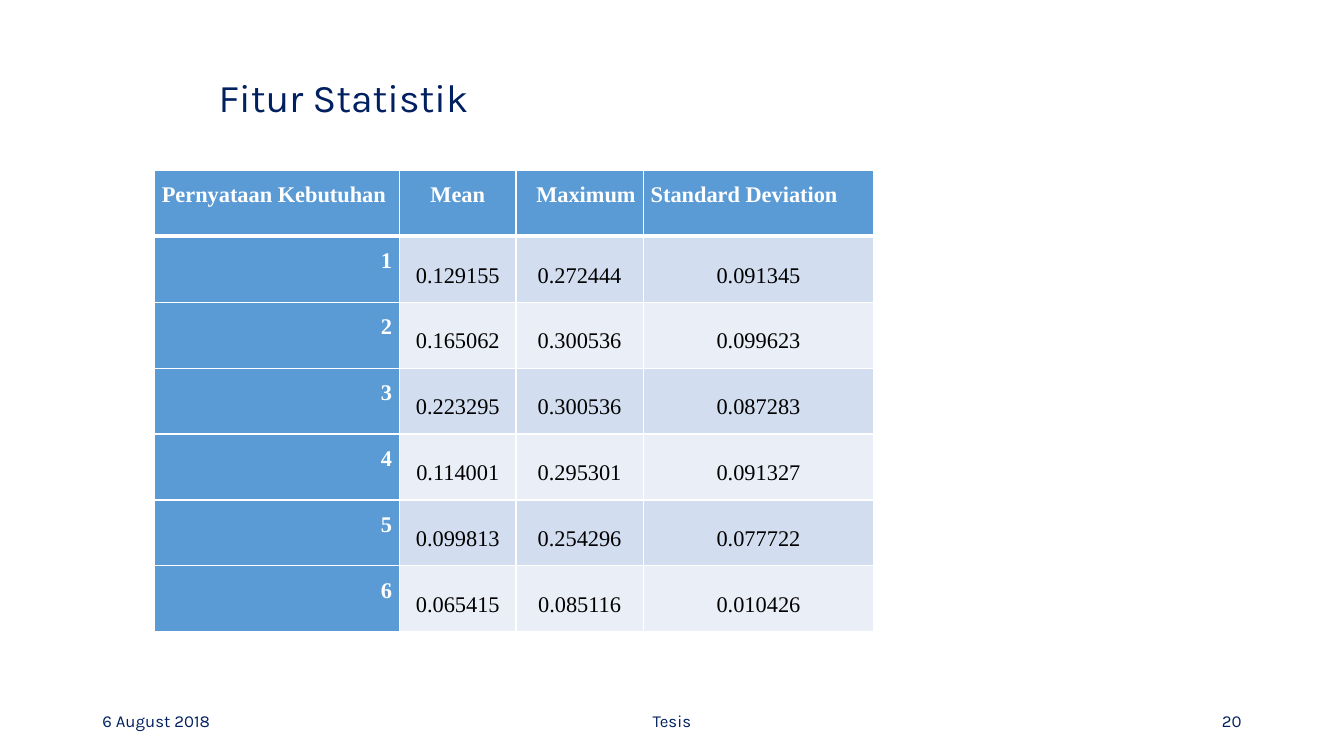
from dataclasses import dataclass

from lxml.etree import SubElement
from pptx import Presentation
from pptx.dml.color import RGBColor
from pptx.enum.text import MSO_ANCHOR as Anchor, MSO_AUTO_SIZE as AutoSize, PP_ALIGN as Align
from pptx.oxml.ns import qn
from pptx.util import Pt


@dataclass(frozen=True)
class Theme:
    navy: str = "002060"
    blue: str = "5B9BD5"
    bands: tuple = ("D2DEEF", "EAEFF7")
    white: str = "FFFFFF"
    black: str = "000000"
    heading_font: str = "Karla"
    table_font: str = "Times New Roman"
    title_size: int = 28
    table_size: int = 16
    footer_size: int = 12


theme = Theme()


def write(paragraph, text, font, size, color, align, bold=False):
    paragraph.alignment = align
    run = paragraph.add_run()
    run.text = text
    run.font.name = font
    run.font.size = Pt(size)
    run.font.bold = bold
    run.font.color.rgb = RGBColor.from_string(color)


def add_border(cell, side, width):
    """Draw one white cell edge; side is L, R, T or B."""
    line = SubElement(cell._tc.get_or_add_tcPr(), qn(f"a:ln{side}"), w=str(Pt(width)))
    fill = SubElement(line, qn("a:solidFill"))
    SubElement(fill, qn("a:srgbClr"), val=theme.white)


prs = Presentation()
prs.slide_width, prs.slide_height = Pt(960), Pt(540)
slide = prs.slides.add_slide(prs.slide_layouts[5])

title = slide.shapes.title
title.left, title.top, title.width, title.height = Pt(149), Pt(38), Pt(864), Pt(67)
title.text_frame.auto_size = AutoSize.NONE
title.text_frame.vertical_anchor = Anchor.MIDDLE
heading = title.text_frame.paragraphs[0]
heading.line_spacing = 0.9
write(heading, "Fitur Statistik", theme.heading_font, theme.title_size, theme.navy, Align.LEFT)

footers = [
    ("6 August 2018", 66, 216, Align.LEFT),
    ("Tesis", 318, 324, Align.CENTER),
    ("20", 678, 216, Align.RIGHT),
]
for text, left, width, align in footers:
    footer = slide.shapes.add_textbox(Pt(left), Pt(500.5), Pt(width), Pt(28.75)).text_frame
    footer.word_wrap = True
    footer.vertical_anchor = Anchor.MIDDLE
    write(footer.paragraphs[0], text, theme.heading_font, theme.footer_size, theme.navy, align)

headers = ["Pernyataan Kebutuhan", "Mean", "Maximum", "Standard Deviation"]
header_aligns = [Align.LEFT, Align.CENTER, Align.RIGHT, Align.JUSTIFY]
statistics = [
    ("0.129155", "0.272444", "0.091345"),
    ("0.165062", "0.300536", "0.099623"),
    ("0.223295", "0.300536", "0.087283"),
    ("0.114001", "0.295301", "0.091327"),
    ("0.099813", "0.254296", "0.077722"),
    ("0.065415", "0.085116", "0.010426"),
]
rows = [headers] + [(str(number), *values) for number, values in enumerate(statistics, 1)]
column_widths = [175.2, 83.2, 90.8, 164.8]
row_height = 47.1

table = slide.shapes.add_table(
    len(rows), len(headers), Pt(110.2), Pt(121.7),
    Pt(sum(column_widths)), Pt(row_height * len(rows)),
).table
for column, width in zip(table.columns, column_widths):
    column.width = Pt(width)

for r, values in enumerate(rows):
    table.rows[r].height = Pt(row_height)
    for c, value in enumerate(values):
        cell = table.cell(r, c)
        is_header = r == 0
        is_label = is_header or c == 0
        cell.margin_left = cell.margin_right = Pt(5.4)
        cell.margin_top = cell.margin_bottom = 0
        cell.vertical_anchor = Anchor.TOP if is_label else Anchor.MIDDLE
        add_border(cell, "L", 1)
        add_border(cell, "R", 1)
        add_border(cell, "T", 3 if r == 1 else 1)
        add_border(cell, "B", 3 if is_header else 1)
        cell.fill.solid()
        fill_color = theme.blue if is_label else theme.bands[(r - 1) % 2]
        cell.fill.fore_color.rgb = RGBColor.from_string(fill_color)

        if is_header:
            align = header_aligns[c]
        else:
            align = Align.RIGHT if is_label else Align.CENTER
        entry = cell.text_frame.paragraphs[0]
        entry.line_spacing = 1.5
        write(entry, value, theme.table_font, theme.table_size,
              theme.white if is_label else theme.black, align, bold=is_label)

prs.save("out.pptx")
